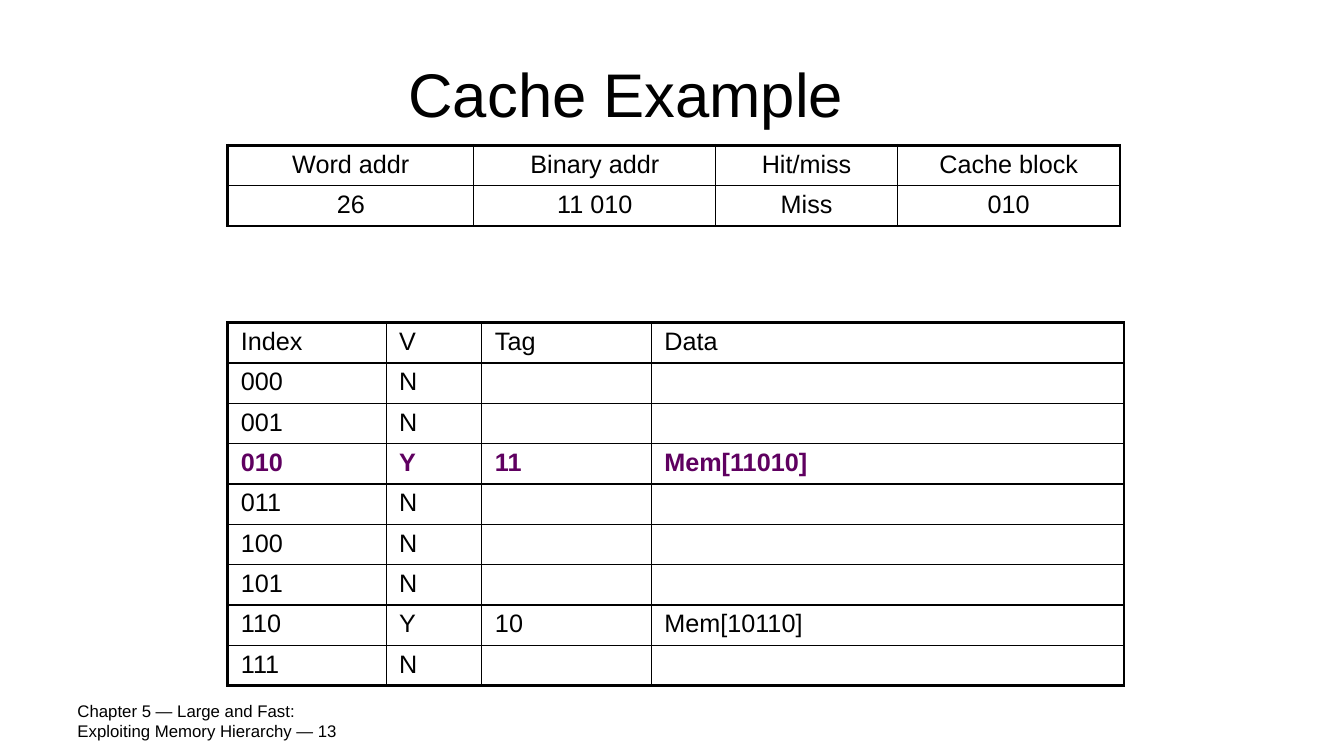
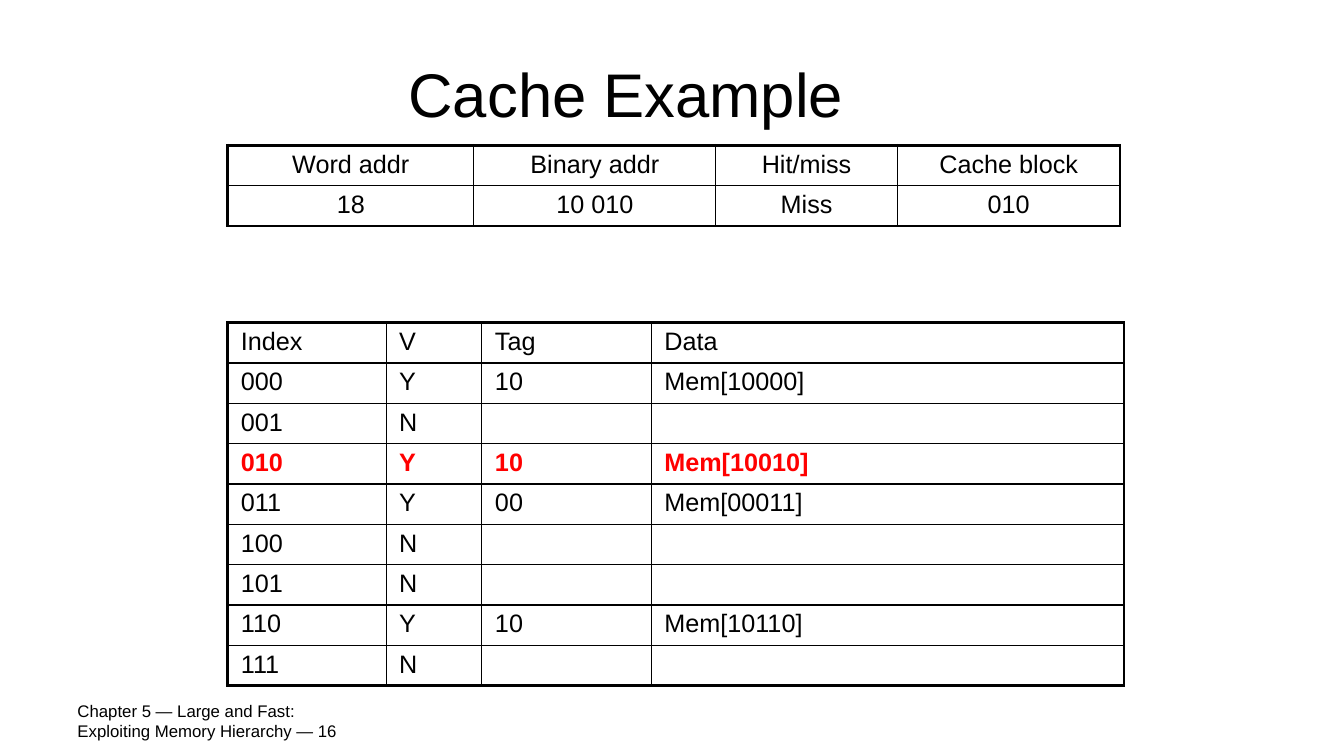
from lxml.etree import SubElement
from pptx import Presentation
from pptx.dml.color import RGBColor
from pptx.enum.text import MSO_ANCHOR, PP_ALIGN
from pptx.oxml.ns import qn
from pptx.util import Inches, Pt

COLORS = {"text": "000000", "border": "000000", "purple": "5F0060", "red": "FF0000"}
FONT = "Arial"
TITLE = "Cache Example"
FOOTER = "Chapter 5 — Large and Fast: Exploiting Memory Hierarchy — {}"
TABLE_LEFT = 2.26
ROW_HEIGHT = 0.4
OUTER, HEADER_RULE, INNER = 2.25, 1.5, 1
INDEX_COUNT = 8

ACCESS_HEADER = ["Word addr", "Binary addr", "Hit/miss", "Cache block"]
ACCESS_WIDTHS = [2.44, 2.4, 1.8, 2.21]
CACHE_HEADER = ["Index", "V", "Tag", "Data"]
CACHE_WIDTHS = [1.57, 0.95, 1.68, 4.69]

STEPS = [
    {"page": 13, "word": 26, "cached": [22, 26], "highlight": "purple"},
    {"page": 16, "word": 18, "cached": [3, 16, 18, 22], "highlight": "red"},
]


def write_text(frame, text, size=18, color="text", bold=False,
               align=PP_ALIGN.LEFT, anchor=None):
    frame.word_wrap = True
    if anchor is not None:
        frame.vertical_anchor = anchor
    paragraph = frame.paragraphs[0]
    paragraph.alignment = align
    if not text:
        return
    run = paragraph.add_run()
    run.text = text
    run.font.name = FONT
    run.font.size = Pt(size)
    run.font.bold = bold
    run.font.color.rgb = RGBColor.from_string(COLORS[color])


def set_borders(cell, **widths):
    """Draw the cell's edges; keys are L, R, T, B in that order, widths in points."""
    properties = cell._tc.get_or_add_tcPr()
    for side, width in widths.items():
        line = SubElement(properties, qn(f"a:ln{side}"), w=str(Pt(width)))
        fill = SubElement(line, qn("a:solidFill"))
        SubElement(fill, qn("a:srgbClr"), val=COLORS["border"])


def add_grid(slide, top, widths, rows, align=PP_ALIGN.LEFT, highlight_row=None,
             highlight="text"):
    """Add a table with a heavy frame and a medium rule below its header."""
    last_row, last_column = len(rows) - 1, len(widths) - 1
    frame = slide.shapes.add_table(
        len(rows), len(widths), Inches(TABLE_LEFT), Inches(top),
        Inches(sum(widths)), Inches(ROW_HEIGHT * len(rows)))
    table = frame.table
    table.first_row = table.horz_banding = False
    for column, width in zip(table.columns, widths):
        column.width = Inches(width)
    horizontal_rules = [OUTER, HEADER_RULE] + [INNER] * (last_row - 1) + [OUTER]
    vertical_rules = [OUTER] + [INNER] * last_column + [OUTER]
    for r, values in enumerate(rows):
        table.rows[r].height = Inches(ROW_HEIGHT)
        marked = r == highlight_row
        for c, value in enumerate(values):
            cell = table.cell(r, c)
            cell.margin_left = cell.margin_right = Inches(0.13)
            cell.margin_top = cell.margin_bottom = Inches(0.05)
            set_borders(cell, L=vertical_rules[c], R=vertical_rules[c + 1],
                        T=horizontal_rules[r], B=horizontal_rules[r + 1])
            cell.fill.background()
            write_text(cell.text_frame, value, align=align, bold=marked,
                       color=highlight if marked else "text")


def add_footer(slide, page):
    box = slide.shapes.add_textbox(Inches(0.67), Inches(6.95), Inches(3.11), Inches(0.4))
    write_text(box.text_frame, FOOTER.format(page), size=12, anchor=MSO_ANCHOR.MIDDLE)


def set_title(slide):
    title = slide.shapes.title
    title.left, title.top = Inches(0.67), Inches(0.3)
    title.width, title.height = Inches(11.08), Inches(1.25)
    write_text(title.text_frame, TITLE, size=44, align=PP_ALIGN.CENTER,
               anchor=MSO_ANCHOR.MIDDLE)


def split_address(word):
    """Return the two-bit tag and three-bit cache index of a word address."""
    bits = f"{word:05b}"
    return bits[:2], bits[2:]


def cache_rows(cached):
    tags = {index: tag for tag, index in map(split_address, cached)}
    rows = [CACHE_HEADER]
    for number in range(INDEX_COUNT):
        index = f"{number:03b}"
        if index in tags:
            rows.append([index, "Y", tags[index], f"Mem[{tags[index]}{index}]"])
        else:
            rows.append([index, "N", "", ""])
    return rows


def add_step(presentation, page, word, cached, highlight):
    slide = presentation.slides.add_slide(presentation.slide_layouts[5])
    add_footer(slide, page)
    set_title(slide)
    tag, index = split_address(word)
    add_grid(slide, 3.2, CACHE_WIDTHS, cache_rows(cached),
             highlight_row=int(index, 2) + 1, highlight=highlight)
    access = [str(word), f"{tag} {index}", "Miss", index]
    add_grid(slide, 1.44, ACCESS_WIDTHS, [ACCESS_HEADER, access], align=PP_ALIGN.CENTER)


def main():
    presentation = Presentation()
    presentation.slide_width, presentation.slide_height = Inches(13.33), Inches(7.5)
    for step in STEPS:
        add_step(presentation, **step)
    presentation.save("out.pptx")


if __name__ == "__main__":
    main()
